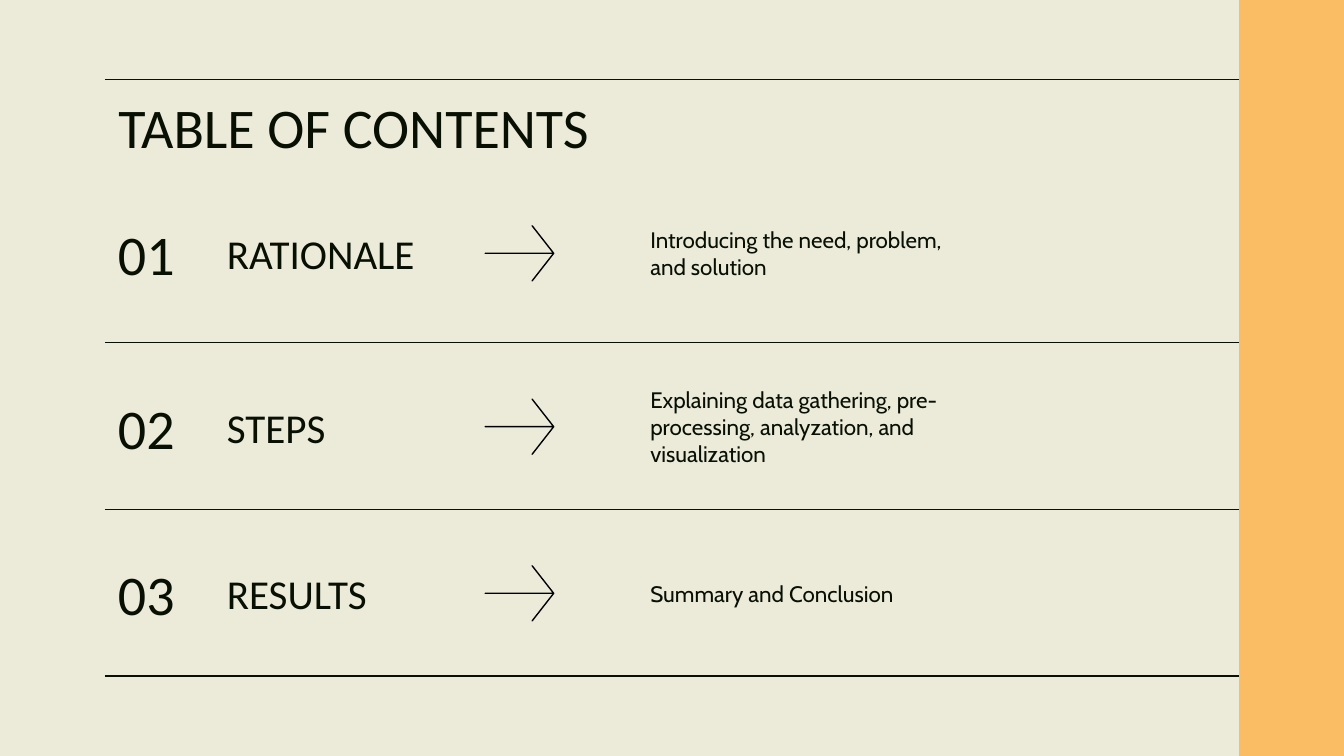
import pptx
import pptx.dml.color
import pptx.enum.shapes
import pptx.enum.text
import pptx.util
from lxml import etree
from pptx.oxml.ns import qn

COLORS = {"paper": "ECEBDA", "stripe": "FABD63", "ink": "081004", "arrow": "000000"}
HEADING_FONT, BODY_FONT = "Calibri", "Cabin"

# Grid in inches: column name -> (left, width)
SLIDE_W = 10
SLIDE_H = SLIDE_W * 9 / 16
MARGIN = 0.78
CONTENT_W = SLIDE_W - 2 * MARGIN
COLUMNS = {
    "number": (MARGIN, 0.8),
    "heading": (1.59, 1.86),
    "arrow": (3.61, 0.51),
    "summary": (4.74, 2.52),
}
TOP_RULE = 0.59
FIRST_RULE, RULE_STEP = 2.55, 1.24
ROW_H, ROW_OFFSET = 0.49, 0.38
FIRST_ROW = 1.64
ARROW_H = 0.41

SECTIONS = [
    ("01", "RATIONALE", "Introducing the need, problem, and solution"),
    ("02", "STEPS", "Explaining data gathering, pre-processing, analyzation, and visualization"),
    ("03", "RESULTS", "Summary and Conclusion"),
]


def inches(*lengths):
    return [pptx.util.Inches(length) for length in lengths]


def rgb(name):
    return pptx.dml.color.RGBColor.from_string(COLORS[name])


def write(holder, text, *, size, font=HEADING_FONT, anchor="MIDDLE"):
    """Put left-aligned text into a placeholder or text box."""
    frame = holder.text_frame
    frame.text = text
    frame.word_wrap = True
    frame.auto_size = pptx.enum.text.MSO_AUTO_SIZE.NONE
    frame.vertical_anchor = pptx.enum.text.MSO_ANCHOR[anchor]
    frame.margin_left = frame.margin_right = pptx.util.Inches(0.1)
    frame.margin_top = frame.margin_bottom = pptx.util.Inches(0.1)
    paragraph = frame.paragraphs[0]
    paragraph.alignment = pptx.enum.text.PP_ALIGN.LEFT
    run_font = paragraph.runs[0].font
    run_font.name = font
    run_font.size = pptx.util.Pt(size)
    run_font.color.rgb = rgb("ink")


def add_title(slide, text):
    title = slide.shapes.title
    title.left, title.top, title.width, title.height = inches(MARGIN, TOP_RULE, CONTENT_W, 0.63)
    write(title, text, size=30, anchor="TOP")


def add_cell(slide, column, top, text, **text_format):
    left, width = COLUMNS[column]
    write(slide.shapes.add_textbox(*inches(left, top, width, ROW_H)), text, **text_format)


def add_stripe(slide):
    left = SLIDE_W - MARGIN
    stripe = slide.shapes.add_shape(
        pptx.enum.shapes.MSO_SHAPE.RECTANGLE, *inches(left, 0, MARGIN, SLIDE_H))
    stripe.shadow.inherit = False
    stripe.fill.solid()
    stripe.fill.fore_color.rgb = rgb("stripe")
    stripe.line.fill.background()


def add_rule(slide, y):
    rule = slide.shapes.add_connector(
        pptx.enum.shapes.MSO_CONNECTOR.STRAIGHT, *inches(MARGIN, y, SLIDE_W - MARGIN, y))
    rule.line.color.rgb = rgb("ink")
    rule.line.width = pptx.util.Pt(0.75)
    etree.SubElement(rule.element.spPr, qn("a:effectLst"))


def add_arrow(slide, middle):
    """Draw a thin shaft with an open head, pointing right."""
    left, width = COLUMNS["arrow"]
    tip, barb, half = left + width, left + 0.35, ARROW_H / 2
    outline = [(barb, middle - half), (tip, middle), (left, middle),
               (tip, middle), (barb, middle + half), (tip, middle)]
    start, *rest = [inches(*point) for point in outline]
    builder = slide.shapes.build_freeform(*start)
    builder.add_line_segments(rest, close=True)
    arrow = builder.convert_to_shape()
    arrow.shadow.inherit = False
    arrow.fill.solid()
    arrow.fill.fore_color.rgb = rgb("arrow")
    arrow.line.color.rgb = rgb("arrow")
    arrow.line.width = pptx.util.Pt(0.75)


def add_section(slide, top, number, heading, summary):
    add_cell(slide, "number", top, number, size=30)
    add_cell(slide, "heading", top, heading, size=22)
    add_arrow(slide, top + ROW_H / 2)
    add_cell(slide, "summary", top, summary, size=12, font=BODY_FONT)


def main():
    deck = pptx.Presentation()
    deck.slide_width, deck.slide_height = inches(SLIDE_W, SLIDE_H)
    slide = deck.slides.add_slide(deck.slide_layouts.get_by_name("Title Only"))

    # Background and side stripe
    slide.background.fill.solid()
    slide.background.fill.fore_color.rgb = rgb("paper")
    add_stripe(slide)

    # Title and dividing rules
    add_title(slide, "TABLE OF CONTENTS")
    rules = [FIRST_RULE + i * RULE_STEP for i in range(len(SECTIONS))]
    for y in [TOP_RULE, *rules]:
        add_rule(slide, y)

    # Sections: the first sits below the title, the others below a rule
    tops = [FIRST_ROW] + [y + ROW_OFFSET for y in rules[:-1]]
    for top, section in zip(tops, SECTIONS):
        add_section(slide, top, *section)

    deck.save("out.pptx")


if __name__ == "__main__":
    main()
